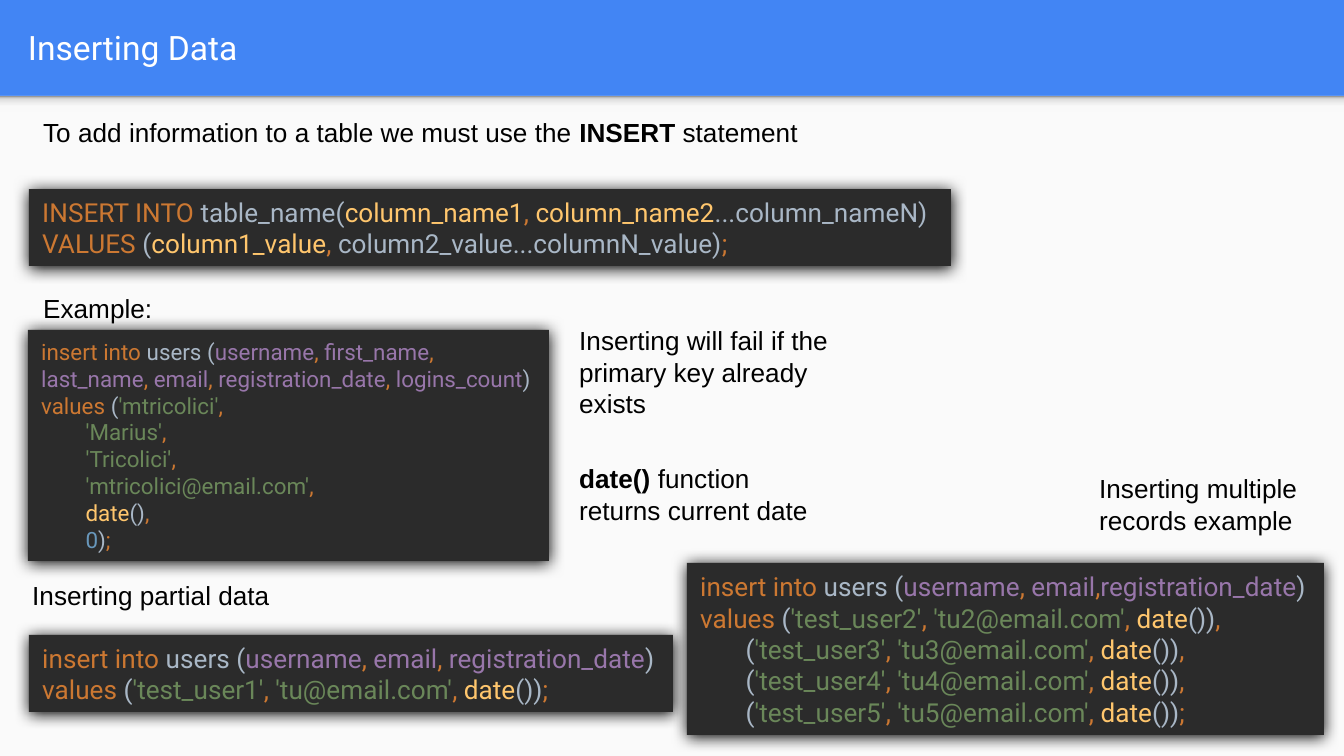
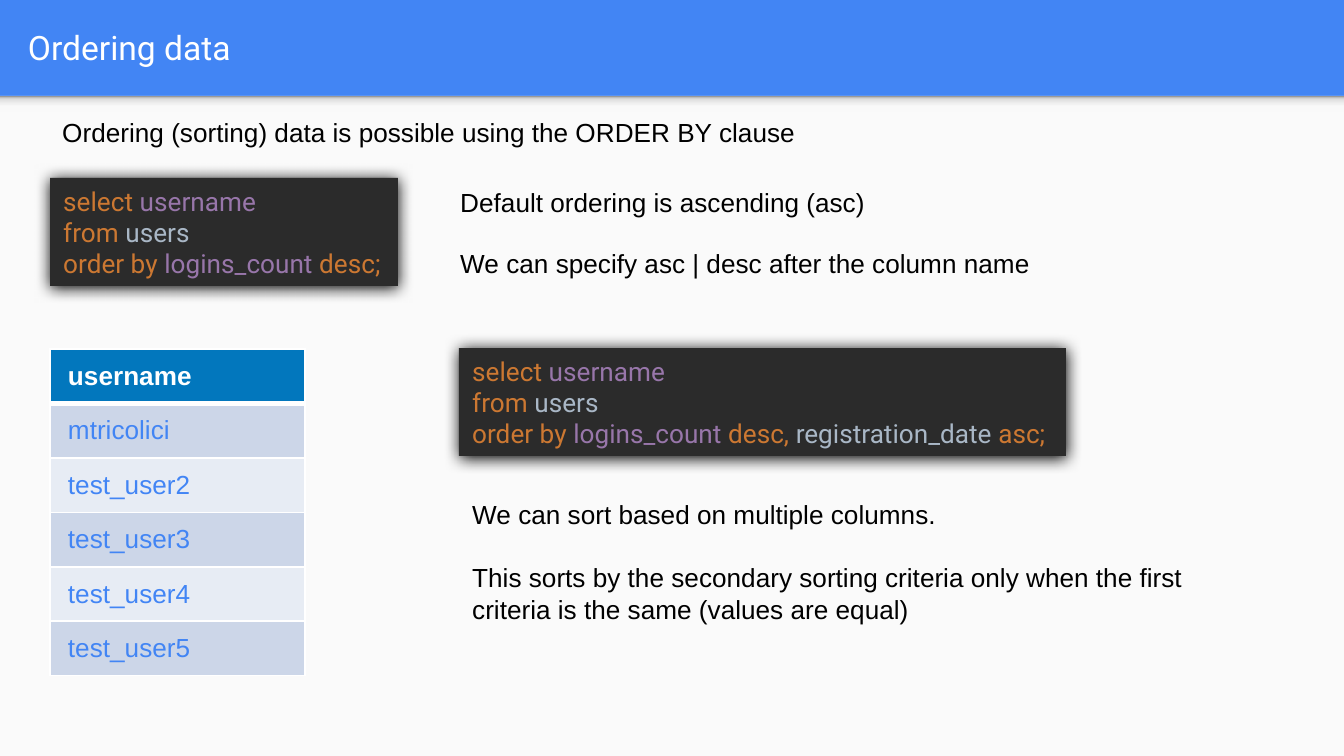
from lxml import etree
from pptx import Presentation
from pptx.dml.color import RGBColor
from pptx.enum import shapes, text
from pptx.oxml.ns import qn
from pptx.util import Emu, Pt

PX = 914400 / 134.4
WIDTH, HEIGHT, BAND = 1344, 756, 96

BLUE, PAPER, WHITE, BLACK = "4285F4", "FAFAFA", "FFFFFF", "000000"
CODE_FILL, HEAD_FILL = "2B2B2B", "0277BD"
ROW_FILLS = ["CCD6E8", "E7ECF4"]
STRIP_STOPS = [(0, "F9F9F9"), (36, "F9F9F9"), (80, "DEDEDE"), (100, "999999")]

# Tags in running text: {k} keyword, {p} plain, {f} function, {c} column,
# {s} string, {n} number, {b} bold, {r} regular
CODE_COLOURS = {"k": "CC7832", "p": "A9B7C6", "f": "FFC66D",
                "c": "9876AA", "s": "6A8759", "n": "6897BB"}

# Notes: (left, top, width, height), paragraphs
# Codes: (left, top, width, height), size, text
SLIDES = [
    {
        "title": "Inserting Data",
        "notes": [
            ((30, 110, 1228, 46),
             ["To add information to a table we must use the {b}INSERT{r} statement"]),
            ((30, 286, 899, 46), ["Example:"]),
            ((566, 318, 320, 109),
             ["Inserting will fail if the primary key already exists"]),
            ((566, 456, 271, 77), ["{b}date() {r}function returns current date"]),
            ((19, 573, 573, 46), ["Inserting partial data"]),
            ((1086, 466, 258, 77), ["Inserting multiple records example"]),
        ],
        "codes": [
            ((29, 189, 922, 77), 14,
             "{k}INSERT INTO {p}table_name({f}column_name1{k}, {f}column_name2"
             "{p}...column_nameN)\n"
             "{k}VALUES {p}({f}column1_value{k}, "
             "{p}column2_value...columnN_value){k};"),
            ((28, 330, 521, 231), 12,
             "{k}insert into {p}users ({c}username{k}, {c}first_name{k},\n"
             "{c}last_name{k}, {c}email{k}, {c}registration_date{k}, "
             "{c}logins_count{p})\n"
             "{k}values {p}({s}'mtricolici'{k},\n"
             "        {s}'Marius'{k},\n"
             "        {s}'Tricolici'{k},\n"
             "        {s}'mtricolici@email.com'{k},\n"
             "        {f}date{p}(){k},\n"
             "        {n}0{p}){k};"),
            ((29, 635, 644, 77), 14,
             "{k}insert into {p}users ({c}username{k}, {c}email{k}, "
             "{c}registration_date{p})\n"
             "{k}values {p}({s}'test_user1'{k}, {s}'tu@email.com'{k}, "
             "{f}date{p}()){k};"),
            ((687, 563, 637, 172), 14,
             "{k}insert into {p}users ({c}username{k}, {c}email{k},"
             "{c}registration_date{p})\n{k}values "
             + ",\n       ".join(
                 f"{{p}}({{s}}'test_user{n}'{{k}}, {{s}}'tu{n}@email.com'{{k}}, "
                 "{f}date{p}()){k}" for n in range(2, 6)) + ";"),
        ],
    },
    {
        "title": "Ordering data",
        "notes": [
            ((49, 110, 1241, 46),
             ["Ordering (sorting) data is possible using the ORDER BY clause"]),
            ((447, 180, 575, 46), ["Default ordering is ascending (asc)"]),
            ((447, 241, 649, 46),
             ["We can specify asc | desc after the column name"]),
            ((459, 492, 765, 140),
             ["We can sort based on multiple columns.",
              "This sorts by the secondary sorting criteria only when the first "
              "criteria is the same (values are equal)"]),
        ],
        "codes": [
            ((50, 178, 348, 108), 14,
             "{k}select {c}username\n{k}from {p}users\n"
             "{k}order by {c}logins_count {k}desc;"),
            ((459, 348, 607, 108), 14,
             "{k}select {c}username\n{k}from {p}users\n"
             "{k}order by {c}logins_count {k}desc, {p}registration_date {k}asc;"),
        ],
        "table": ((50, 349, 255, 327),
                  ["username", "mtricolici", "test_user2", "test_user3",
                   "test_user4", "test_user5"]),
    },
]


def px(*lengths):
    return [Emu(round(length * PX)) for length in lengths]


def paint(fill, colour):
    fill.solid()
    fill.fore_color.rgb = RGBColor.from_string(colour)


def add_node(parent, tag, **attributes):
    return etree.SubElement(parent, qn(tag),
                            {key: str(value) for key, value in attributes.items()})


def write(para, content, font="Arial", size=14, colour=BLACK, bold=False):
    """Add tagged text to a paragraph; a newline becomes a line break."""
    para.alignment = text.PP_ALIGN.LEFT
    for number, part in enumerate(content.split("{")):
        if number:
            tag, part = part.split("}", 1)
            colour = CODE_COLOURS.get(tag, colour)
            bold = tag == "b"
        for line_number, line in enumerate(part.split("\n")):
            if line_number:
                para.add_line_break()
            if line:
                span = para.add_run()
                span.text = line
                span.font.name, span.font.size = font, Pt(size)
                span.font.bold = bold
                span.font.color.rgb = RGBColor.from_string(colour)


def add_rect(page, place):
    rect = page.shapes.add_shape(shapes.MSO_SHAPE.RECTANGLE, *px(*place))
    rect.line.fill.background()
    rect.shadow.inherit = False
    return rect


def add_code(page, place, size, content):
    box = add_rect(page, place)
    paint(box.fill, CODE_FILL)
    effects = box.element.spPr.find(qn("a:effectLst"))
    shadow = add_node(effects, "a:outerShdw", blurRad=Pt(8.5), dist=Pt(1),
                      dir=5400000, algn="t", rotWithShape=0)
    add_node(shadow, "a:srgbClr", val=BLACK)
    frame = box.text_frame
    frame.word_wrap = False
    frame.auto_size = text.MSO_AUTO_SIZE.SHAPE_TO_FIT_TEXT
    frame.vertical_anchor = text.MSO_ANCHOR.MIDDLE
    write(frame.paragraphs[0], content, font="Roboto", size=size)


def add_note(page, place, paragraphs):
    frame = page.shapes.add_textbox(*px(*place)).text_frame
    frame.word_wrap = True
    frame.auto_size = text.MSO_AUTO_SIZE.SHAPE_TO_FIT_TEXT
    for number, content in enumerate(paragraphs):
        para = frame.add_paragraph() if number else frame.paragraphs[0]
        if number:
            para.space_before = Pt(17)
        write(para, content)


def add_border(cell, side, width):
    line = add_node(cell._tc.get_or_add_tcPr(), f"a:ln{side}", w=Pt(width))
    add_node(add_node(line, "a:solidFill"), "a:srgbClr", val=WHITE)


def add_user_table(page, place, names):
    table = page.shapes.add_table(len(names), 1, *px(*place)).table
    for row, name in enumerate(names):
        cell = table.cell(row, 0)
        header = row == 0
        for side in "LRTB":
            thick = (row, side) in [(0, "B"), (1, "T")]
            add_border(cell, side, 3 if thick else 1)
        paint(cell.fill, HEAD_FILL if header else ROW_FILLS[(row - 1) % 2])
        cell.vertical_anchor = text.MSO_ANCHOR.MIDDLE
        cell.margin_left, cell.margin_top, cell.margin_right, cell.margin_bottom = \
            px(18, 8, 18, 8)
        write(cell.text_frame.paragraphs[0], name,
              colour=WHITE if header else BLUE, bold=header)


def style_layout(layout, page):
    """Give the layout its blue band, paper panel, shaded strip and title place."""
    paint(layout.background.fill, BLUE)
    panel = add_rect(page, (0, BAND, WIDTH, HEIGHT - BAND))
    paint(panel.fill, PAPER)
    strip = add_rect(page, (0, BAND, WIDTH, 16))
    strip.fill.gradient()
    strip.fill.gradient_angle = 90
    stops = strip.element.spPr.find(".//" + qn("a:gsLst"))
    stops.clear()
    for position, colour in STRIP_STOPS:
        add_node(add_node(stops, "a:gs", pos=position * 1000),
                 "a:srgbClr", val=colour)
    for position, shape in enumerate((panel, strip), 2):
        layout.shapes.element.insert(position, shape.element)
    for holder in list(layout.placeholders):
        if holder.placeholder_format.type == shapes.PP_PLACEHOLDER.TITLE:
            holder.left, holder.top, holder.width, holder.height = px(15, 3, 1297, 89)
        else:
            layout.shapes.element.remove(holder.element)


def add_title(page, content):
    frame = page.shapes.title.text_frame
    frame.auto_size = text.MSO_AUTO_SIZE.NONE
    frame.vertical_anchor = text.MSO_ANCHOR.MIDDLE
    frame.margin_left = frame.margin_right = px(13)[0]
    frame.margin_top = frame.margin_bottom = px(13)[0]
    write(frame.paragraphs[0], content, font="Roboto", size=18, colour=WHITE)


def main():
    deck = Presentation()
    deck.slide_width, deck.slide_height = px(WIDTH, HEIGHT)
    layout = deck.slide_layouts[5]
    pages = [deck.slides.add_slide(layout) for _ in SLIDES]
    style_layout(layout, pages[0])
    for page, content in zip(pages, SLIDES):
        add_title(page, content["title"])
        for note in content["notes"]:
            add_note(page, *note)
        for code in content["codes"]:
            add_code(page, *code)
        if "table" in content:
            add_user_table(page, *content["table"])
    deck.save("out.pptx")


if __name__ == "__main__":
    main()
